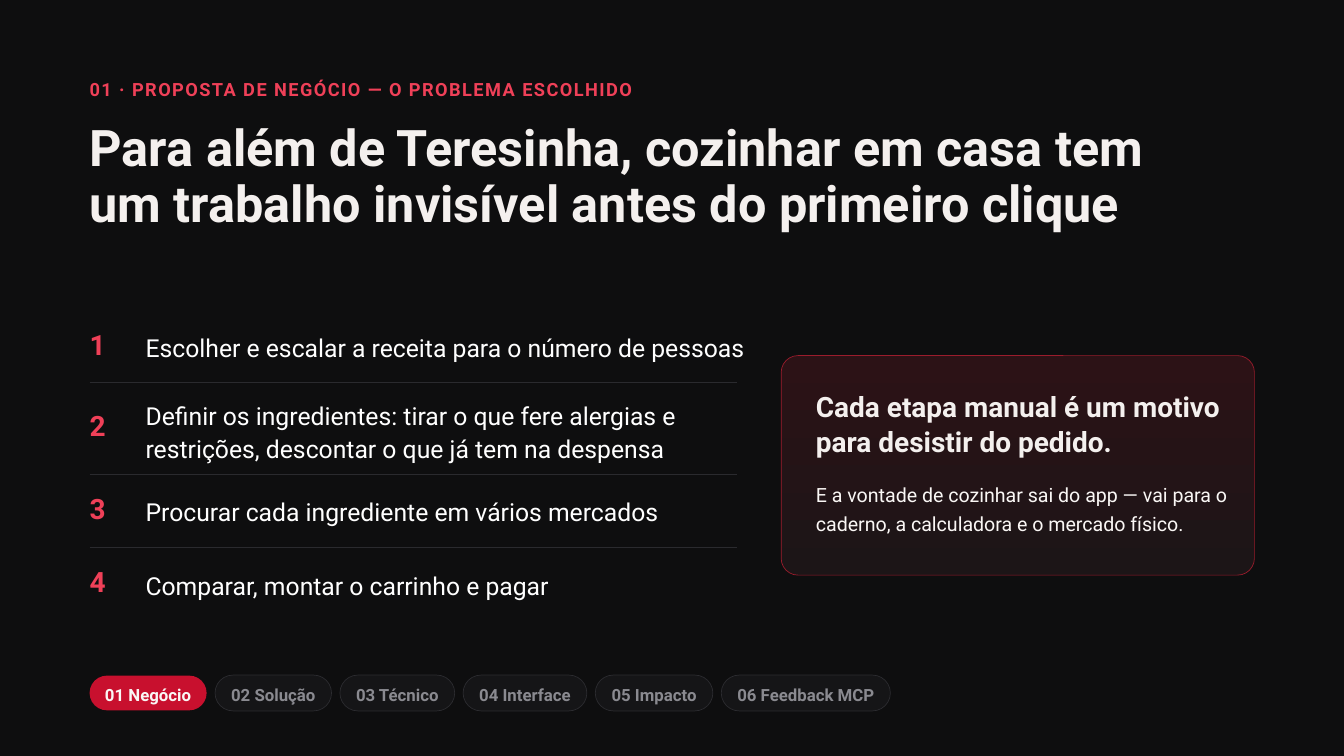
from lxml import etree
from pptx import Presentation
from pptx.dml.color import RGBColor
from pptx.enum.shapes import MSO_CONNECTOR, MSO_SHAPE
from pptx.enum.text import MSO_ANCHOR, PP_ALIGN
from pptx.oxml.ns import qn
from pptx.util import Inches, Pt

STRAIGHT = MSO_CONNECTOR.STRAIGHT
ROUNDED = MSO_SHAPE.ROUNDED_RECTANGLE
TOP, MIDDLE = MSO_ANCHOR.TOP, MSO_ANCHOR.MIDDLE
LEFT, CENTER = PP_ALIGN.LEFT, PP_ALIGN.CENTER

# Grid: 240 columns by 135 rows of square cells
WIDTH, HEIGHT = Inches(20), Inches(11.25)
CELL = WIDTH / 240
MARGIN = 16

COLORS = {
    "page": "0E0E0F", "accent": "EF4058", "title": "F4F0EE",
    "white": "FFFFFF", "soft": "FAF7F5", "muted": "8A8A90",
    "divider": "2A2A2E", "card_top": "2C1216", "card_bottom": "1C1517",
    "card_line": "9B1C2C", "active": "C8102E", "pill": "151517",
    "pill_line": "2C2C30",
}

# Text formats: size, bold, color, line spacing in points
FORMATS = {
    "label": (19.5, True, "accent", 27.3),
    "title": (54, True, "title", 59.4),
    "number": (30, True, "accent", 42),
    "step": (26.5, False, "white", 35.8),
    "card_title": (30, True, "title", 37.5),
    "card_body": (21, False, "soft", 31.5),
    "pill": (18, True, "muted", 25.2),
    "pill_active": (18, True, "soft", 25.2),
}

# Number row, text row, divider row, wording
STEPS = [
    (57.4, 58.7, 68.35, "Escolher e escalar a receita para o número de pessoas"),
    (72, 70.9, 84.65, "Definir os ingredientes: tirar o que fere alergias e "
                      "restrições, descontar o que já tem na despensa"),
    (86.8, 88.1, 97.75, "Procurar cada ingrediente em vários mercados"),
    (99.8, 101.2, None, "Comparar, montar o carrinho e pagar"),
]

# Wording and width in columns
PILLS = [
    ("01 Negócio", 20.9), ("02 Solução", 20.8), ("03 Técnico", 20.5),
    ("04 Interface", 22.1), ("05 Impacto", 21), ("06 Feedback MCP", 30.2),
]


def cells(*counts):
    return [round(count * CELL) for count in counts]


def color(name):
    return RGBColor.from_string(COLORS[name])


def write(shape, text, style, align=LEFT, anchor=TOP, wrap=True, spacing=0):
    size, bold, tone, leading = FORMATS[style]
    frame = shape.text_frame
    settings = {"margin_left": 0, "margin_right": 0, "margin_top": 0,
                "margin_bottom": 0, "word_wrap": wrap, "vertical_anchor": anchor}
    for name, value in settings.items():
        setattr(frame, name, value)
    para = frame.paragraphs[0]
    para.alignment, para.line_spacing = align, Pt(leading)
    span = para.add_run()
    span.text = text
    for name, value in {"name": "Roboto", "size": Pt(size), "bold": bold}.items():
        setattr(span.font, name, value)
    span.font.color.rgb = color(tone)
    if spacing:
        span.font._element.set("spc", str(round(spacing * 100)))


def add_text(page, area, text, style, spacing=0):
    box = page.shapes.add_textbox(*cells(*area))
    write(box, text, style, spacing=spacing)


def add_panel(page, area, radius, fill, line=None):
    """Rounded panel; two fill names make a top-to-bottom gradient."""
    panel = page.shapes.add_shape(ROUNDED, *cells(*area))
    panel.shadow.inherit = False
    panel.adjustments[0] = radius / min(area[2:])
    if len(fill) == 2:
        panel.fill.gradient()
        panel.fill.gradient_angle = 270
        for stop, name in zip(panel.fill.gradient_stops, fill):
            stop.color.rgb = color(name)
    else:
        panel.fill.solid()
        panel.fill.fore_color.rgb = color(fill[0])
    if line:
        panel.line.color.rgb = color(line)
        panel.line.width = Pt(0.75)
    else:
        panel.line.fill.background()
    return panel


def add_divider(page, row):
    rule = page.shapes.add_connector(STRAIGHT, *cells(MARGIN, row, 131.6, row))
    rule.line.color.rgb = color("divider")
    rule.line.width = Pt(0.75)
    etree.SubElement(rule._element.spPr, qn("a:effectLst"))


def add_steps(page):
    for index, (number_row, text_row, divider_row, text) in enumerate(STEPS, 1):
        add_text(page, (MARGIN, number_row, 7, 8.5), str(index), "number")
        lines = 2 if index == 2 else 1
        add_text(page, (26, text_row, 108.7, 5.9 * lines), text, "step")
        if divider_row:
            add_divider(page, divider_row)


def add_card(page):
    add_panel(page, (139.5, 63.5, 84.5, 39.2), 3,
              ("card_top", "card_bottom"), "card_line")
    add_text(page, (145.7, 69.3, 74.4, 12.6),
             "Cada etapa manual é um motivo para desistir do pedido.", "card_title")
    add_text(page, (145.7, 85.2, 74.4, 10.3),
             "E a vontade de cozinhar sai do app — vai para o caderno, "
             "a calculadora e o mercado físico.", "card_body")


def add_pills(page, active=0, gap=1.5, middle=123.75):
    left = MARGIN
    for index, (text, width) in enumerate(PILLS):
        chosen = index == active
        height = 6.2 if chosen else 6.4
        pill = add_panel(page, (left, middle - height / 2, width, height),
                         height / 2, ("active" if chosen else "pill",),
                         None if chosen else "pill_line")
        write(pill, text, "pill_active" if chosen else "pill",
              CENTER, MIDDLE, wrap=False)
        left += width + gap


def main():
    deck = Presentation()
    deck.slide_width, deck.slide_height = WIDTH, HEIGHT
    page = deck.slides.add_slide(deck.slide_layouts[6])
    page.background.fill.solid()
    page.background.fill.fore_color.rgb = color("page")

    # Heading
    add_text(page, (MARGIN, 13.3, 214, 5.6),
             "01 · PROPOSTA DE NEGÓCIO — O PROBLEMA ESCOLHIDO", "label", 1.5)
    add_text(page, (MARGIN, 21.7, 193, 20),
             "Para além de Teresinha, cozinhar em casa tem um trabalho "
             "invisível antes do primeiro clique", "title")

    # Body and section navigation
    add_steps(page)
    add_card(page)
    add_pills(page)
    deck.save("out.pptx")


if __name__ == "__main__":
    main()
